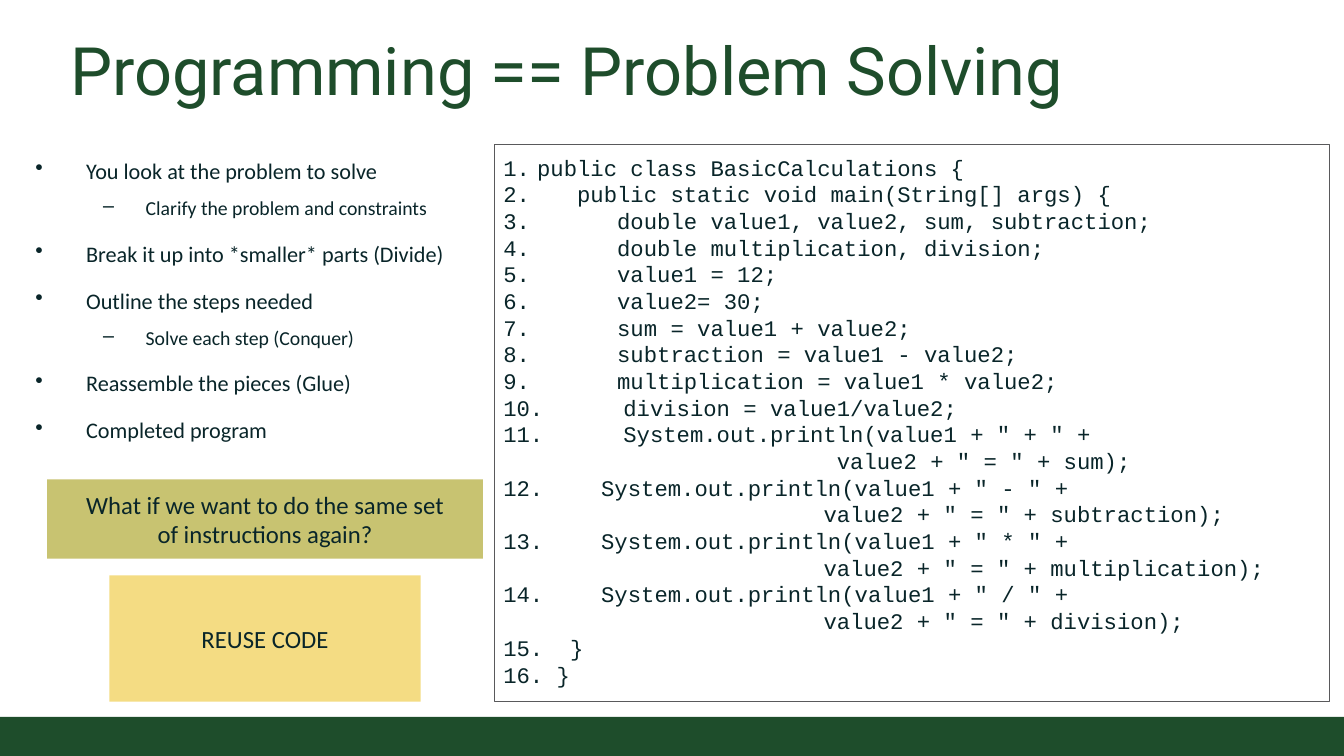
"""Build the slide on programming as problem solving."""
from dataclasses import dataclass

from lxml import etree
from pptx import Presentation
from pptx import util as u
from pptx.dml.color import RGBColor
from pptx.enum import shapes, text
from pptx.oxml.ns import qn

GREEN = RGBColor(0x1E, 0x4D, 0x2B)
INK = RGBColor(0x09, 0x25, 0x29)
GRAY = RGBColor(0x59, 0x59, 0x5B)
OLIVE = RGBColor(0xC8, 0xC3, 0x71)
YELLOW = RGBColor(0xF4, 0xDC, 0x83)


@dataclass
class Area:
    left: float
    top: float
    width: float
    height: float

    def spans(self) -> list:
        return [u.Inches(n) for n in (self.left, self.top, self.width, self.height)]


@dataclass
class Style:
    size: float
    font: str = "Calibri"
    color: RGBColor = INK


@dataclass
class Level:
    margin: float
    hang: float
    mark: str
    style: Style
    before: float


@dataclass
class Panel:
    area: Area
    fill: RGBColor
    words: str = ""


TOP = Level(0.57, 0.57, "•", Style(18), 6)
SUB = Level(1.24, 0.48, "–", Style(16), 0)
STEPS = [
    (TOP, "You look at the problem to solve"),
    (SUB, "Clarify the problem and constraints"),
    (TOP, "Break it up into *smaller* parts (Divide)"),
    (TOP, "Outline the steps needed"),
    (SUB, "Solve each step (Conquer)"),
    (TOP, "Reassemble the pieces (Glue)"),
    (TOP, "Completed program"),
]
PANELS = [
    Panel(Area(0, 8.06, 15.11, 0.44), GREEN),
    Panel(Area(0.53, 5.39, 4.9, 0.89), OLIVE,
          "What if we want to do the same set of instructions again?"),
    Panel(Area(1.23, 6.47, 3.5, 1.42), YELLOW, "REUSE CODE"),
]
LISTED = 11
CODE = '''public class BasicCalculations {
   public static void main(String[] args) {
      double value1, value2, sum, subtraction;
      double multiplication, division;
      value1 = 12;
      value2= 30;
      sum = value1 + value2;
      subtraction = value1 - value2;
      multiplication = value1 * value2;
      division = value1/value2;
      System.out.println(value1 + " + " +
                         value2 + " = " + sum);
\t    System.out.println(value1 + " - " +
                        value2 + " = " + subtraction);
13.\t    System.out.println(value1 + " * " +
                        value2 + " = " + multiplication);
14.\t    System.out.println(value1 + " / " +
                        value2 + " = " + division);
15.  }
16. }'''


def style_runs(para, style: Style) -> None:
    for run in para.runs:
        run.font.size = u.Pt(style.size)
        run.font.name = style.font
        run.font.color.rgb = style.color


def add_mark(para, margin: float, hang: float, tag: str, **attrs: str) -> None:
    props = para._p.get_or_add_pPr()
    props.set("marL", str(u.Inches(margin)))
    props.set("indent", str(u.Inches(-hang)))
    etree.SubElement(props, qn(tag), attrs)


def set_frame(frame, side: float = 0.1, edge: float = 0.1) -> None:
    frame.word_wrap = True
    frame.margin_left = frame.margin_right = u.Inches(side)
    frame.margin_top = frame.margin_bottom = u.Inches(edge)


def add_text(slide, area: Area, words: str):
    frame = slide.shapes.add_textbox(*area.spans()).text_frame
    set_frame(frame)
    frame.text = words
    return frame


def add_rect(slide, area: Area):
    rect = slide.shapes.add_shape(shapes.MSO_SHAPE.RECTANGLE, *area.spans())
    rect.shadow.inherit = False
    return rect


def add_panel(slide, panel: Panel) -> None:
    rect = add_rect(slide, panel.area)
    rect.fill.solid()
    rect.fill.fore_color.rgb = panel.fill
    rect.line.fill.background()
    if panel.words:
        frame = rect.text_frame
        set_frame(frame, 0.3, 0.2)
        frame.vertical_anchor = text.MSO_ANCHOR.MIDDLE
        frame.text = panel.words
        frame.paragraphs[0].alignment = text.PP_ALIGN.CENTER
        style_runs(frame.paragraphs[0], Style(20))


def add_title(slide) -> None:
    frame = add_text(slide, Area(0.69, 0.21, 13.74, 1.11),
                     "Programming == Problem Solving")
    frame.vertical_anchor = text.MSO_ANCHOR.BOTTOM
    style_runs(frame.paragraphs[0], Style(54, "Roboto", GREEN))


def add_steps(slide) -> None:
    words = "\n".join(line for _, line in STEPS)
    frame = add_text(slide, Area(0.3, 1.61, 6.36, 4.04), words)
    for index, (para, (level, _)) in enumerate(zip(frame.paragraphs, STEPS)):
        para.line_spacing = 1.2
        para.space_before = u.Pt(level.before if index else 0)
        para.space_after = u.Pt(6)
        para.level = 1 if level is SUB else 0
        add_mark(para, level.margin, level.hang, "a:buChar", char=level.mark)
        style_runs(para, level.style)


def add_code(slide) -> None:
    rect = add_rect(slide, Area(5.56, 1.63, 9.39, 6.26))
    rect.fill.background()
    rect.line.color.rgb = GRAY
    rect.line.width = u.Pt(0.75)
    frame = rect.text_frame
    set_frame(frame)
    frame.vertical_anchor = text.MSO_ANCHOR.TOP
    frame.text = CODE
    for index, para in enumerate(frame.paragraphs):
        para.alignment = text.PP_ALIGN.LEFT
        para.line_spacing = u.Pt(21.6)
        if index < LISTED:
            add_mark(para, 0.38, 0.38, "a:buAutoNum", type="arabicPeriod")
        elif para.text.startswith("\t"):
            add_mark(para, 0.38, 0.38, "a:buAutoNum", type="arabicPeriod",
                     startAt=str(LISTED + 1))
        style_runs(para, Style(18, "Courier New"))


def main() -> None:
    deck = Presentation()
    deck.slide_width, deck.slide_height = u.Inches(15.11), u.Inches(8.5)
    slide = deck.slides.add_slide(deck.slide_layouts[6])
    add_title(slide)
    add_steps(slide)
    add_code(slide)
    for panel in PANELS:
        add_panel(slide, panel)
    deck.save("out.pptx")


if __name__ == "__main__":
    main()
